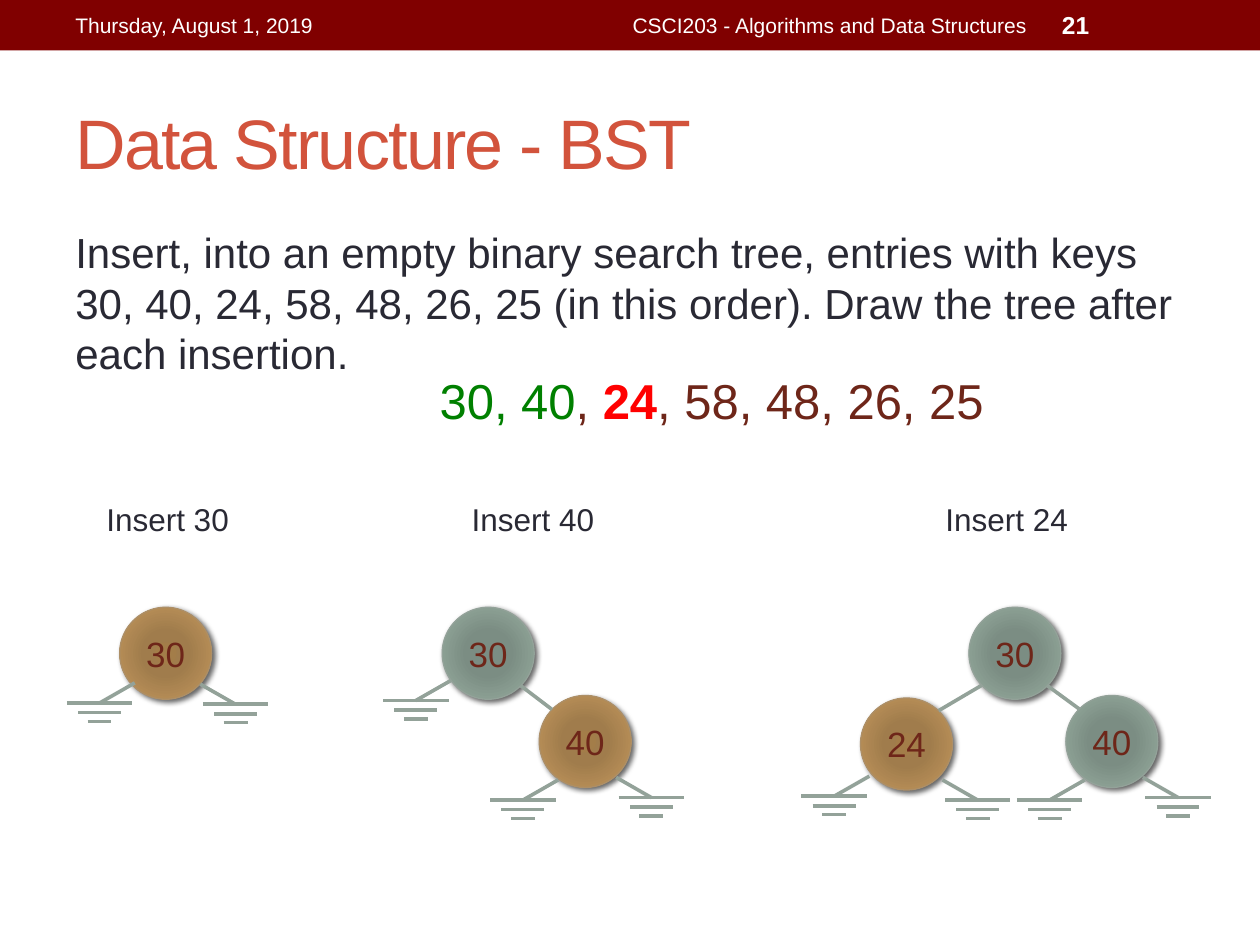
"""Build the slide that grows a binary search tree by inserting 30, 40 and 24."""
import pptx
import pptx.dml.color
import pptx.enum.shapes
import pptx.enum.text
import pptx.oxml.ns
import pptx.util
from lxml import etree

qn = pptx.oxml.ns.qn
ALIGN = pptx.enum.text.PP_ALIGN
MIDDLE = pptx.enum.text.MSO_ANCHOR.MIDDLE
TOP = pptx.enum.text.MSO_ANCHOR.TOP
SHAPE = pptx.enum.shapes.MSO_SHAPE
STRAIGHT = pptx.enum.shapes.MSO_CONNECTOR.STRAIGHT

WHITE, INK, RUST, BROWN, SAGE = "FFFFFF", "292934", "D2533C", "6E2619", "93A299"
OLD_NODE = ((0, "7B8E82"), (34, "7B8D83"), (70, "8A9E92"), (100, SAGE))
NEW_NODE = ((0, "A37D49"), (34, "A07C4C"), (70, "B38B55"), (100, "AD8F67"))

deck = pptx.Presentation()
deck.slide_width, deck.slide_height = pptx.util.Inches(10), pptx.util.Inches(7.5)
slide = deck.slides.add_slide(deck.slide_layouts[6])
shapes = slide.shapes
cell = deck.slide_width / 100


def paint(target, color):
    """Colour a fill, or the fill of a line or font, with a hex string."""
    fill = getattr(target, "fill", target)
    fill.solid()
    fill.fore_color.rgb = pptx.dml.color.RGBColor.from_string(color)


def write(shape, runs, size, align=ALIGN.LEFT, anchor=TOP):
    """Write (text, colour, bold) runs as one paragraph and return it."""
    frame = shape.text_frame
    frame.word_wrap = True
    frame.vertical_anchor = anchor
    paragraph = frame.paragraphs[0]
    paragraph.alignment = align
    for text, color, bold in runs:
        run = paragraph.add_run()
        run.text = text
        run.font.name, run.font.size, run.font.bold = "Arial", pptx.util.Pt(size), bold
        paint(run.font, color)
    return paragraph


banner = shapes.add_shape(SHAPE.RECTANGLE, 0, 0, deck.slide_width, round(4 * cell))
banner.shadow.inherit = False
paint(banner.fill, "800000")
banner.line.fill.background()

labels = [
    (5, 5.8, 90, 10.8, "Data Structure - BST", 40, RUST, False, ALIGN.LEFT, MIDDLE),
    (5, 17.5, 90, 53.3,
     "Insert, into an empty binary search tree, entries with keys 30, 40, 24, 58, 48, 26, 25 "
     "(in this order). Draw the tree after each insertion.",
     24, INK, False, ALIGN.LEFT, TOP),
    (5, 0.2, 31.7, 3.6, "Thursday, August 1, 2019", 12, WHITE, False, ALIGN.LEFT, MIDDLE),
    (37.5, 0.2, 45, 3.6, "CSCI203 - Algorithms and Data Structures",
     12, WHITE, False, ALIGN.RIGHT, MIDDLE),
    (83.3, 0.2, 11.7, 3.6, "21", 14, WHITE, True, ALIGN.LEFT, MIDDLE),
]
for column, key in ((4.2, 30), (33.2, 40), (70.8, 24)):
    labels.append((column, 39.2, 18.2, 4, f"Insert {key}", 18, INK, False, ALIGN.CENTER, TOP))

for column, row, columns, rows, text, size, color, bold, align, anchor in labels:
    label = shapes.add_textbox(*(round(n * cell) for n in (column, row, columns, rows)))
    paragraph = write(label, [(text, color, bold)], size, align, anchor)
    if size == 24:
        paragraph.space_before = pptx.util.Pt(4.8)
    if size == 40:
        paragraph.runs[0].font.fill
        paragraph.runs[0].font._element.set("spc", "-100")

nodes = [
    (9.5, 48.2, 30, NEW_NODE),
    (35.1, 48.2, 30, OLD_NODE), (42.8, 55.2, 40, NEW_NODE),
    (76.9, 48.2, 30, OLD_NODE), (84.6, 55.2, 40, OLD_NODE), (68.3, 55.4, 24, NEW_NODE),
]
for column, row, key, stops in nodes:
    node = shapes.add_shape(SHAPE.OVAL, *(round(n * cell) for n in (column, row, 7.3, 7.3)))
    node.fill.gradient()
    gradient = node.element.spPr.find(qn("a:gradFill"))
    gradient.clear()
    stop_list = etree.SubElement(gradient, qn("a:gsLst"))
    for share, color in stops:
        stop = etree.SubElement(stop_list, qn("a:gs"), pos=str(share * 1000))
        etree.SubElement(stop, qn("a:srgbClr"), val=color)
    radial = etree.SubElement(gradient, qn("a:path"), path="circle")
    etree.SubElement(radial, qn("a:fillToRect"), {side: "100000" for side in "ltrb"})
    paint(node.line, stops[-1][1])
    node.line.width = pptx.util.Pt(0.75)
    node.shadow.inherit = False
    shade = etree.SubElement(node.element.spPr.find(qn("a:effectLst")), qn("a:outerShdw"),
                             blurRad="38100", dist="25400", dir="2700000", rotWithShape="0")
    black = etree.SubElement(shade, qn("a:srgbClr"), val="000000")
    etree.SubElement(black, qn("a:alpha"), val="60000")
    frame = node.text_frame
    frame.margin_left = frame.margin_right = 0
    write(node, [(str(key), BROWN, False)], 20, ALIGN.CENTER, MIDDLE)

strokes = [(41.3, 54.4, 43.8, 56.3), (83.1, 54.4, 85.7, 56.3), (74.5, 56.4, 77.9, 54.4)]
empty_children = [
    (15.9, 54.3, 1), (10.7, 54.2, -1),
    (35.8, 54, -1), (48.9, 61.7, 1), (44.3, 61.9, -1),
    (90.7, 61.7, 1), (86.1, 61.9, -1), (74.8, 61.9, 1), (69, 61.6, -1),
]
for column, row, side in empty_children:
    middle, ground = column + 2.8 * side, row + 1.6
    strokes.append((column, row, middle, ground))
    for drop, half in ((0, 2.6), (0.75, 1.7), (1.45, 0.95)):
        strokes.append((middle - half, ground + drop, middle + half, ground + drop))

for stroke in strokes:
    branch = shapes.add_connector(STRAIGHT, *(round(n * cell) for n in stroke))
    paint(branch.line, SAGE)
    branch.line.width = pptx.util.Pt(2.08)
    etree.SubElement(branch.element.spPr, qn("a:effectLst"))

progress = shapes.add_shape(SHAPE.RECTANGLE, *(round(n * cell) for n in (33.9, 28.9, 48.5, 5.7)))
progress.shadow.inherit = False
paint(progress.fill, WHITE)
progress.line.fill.background()
write(progress, [("30, 40", "008000", False), (", ", BROWN, False),
                 ("24", "FF0000", True), (", 58, 48, 26, 25", BROWN, False)], 28)

deck.save("out.pptx")
